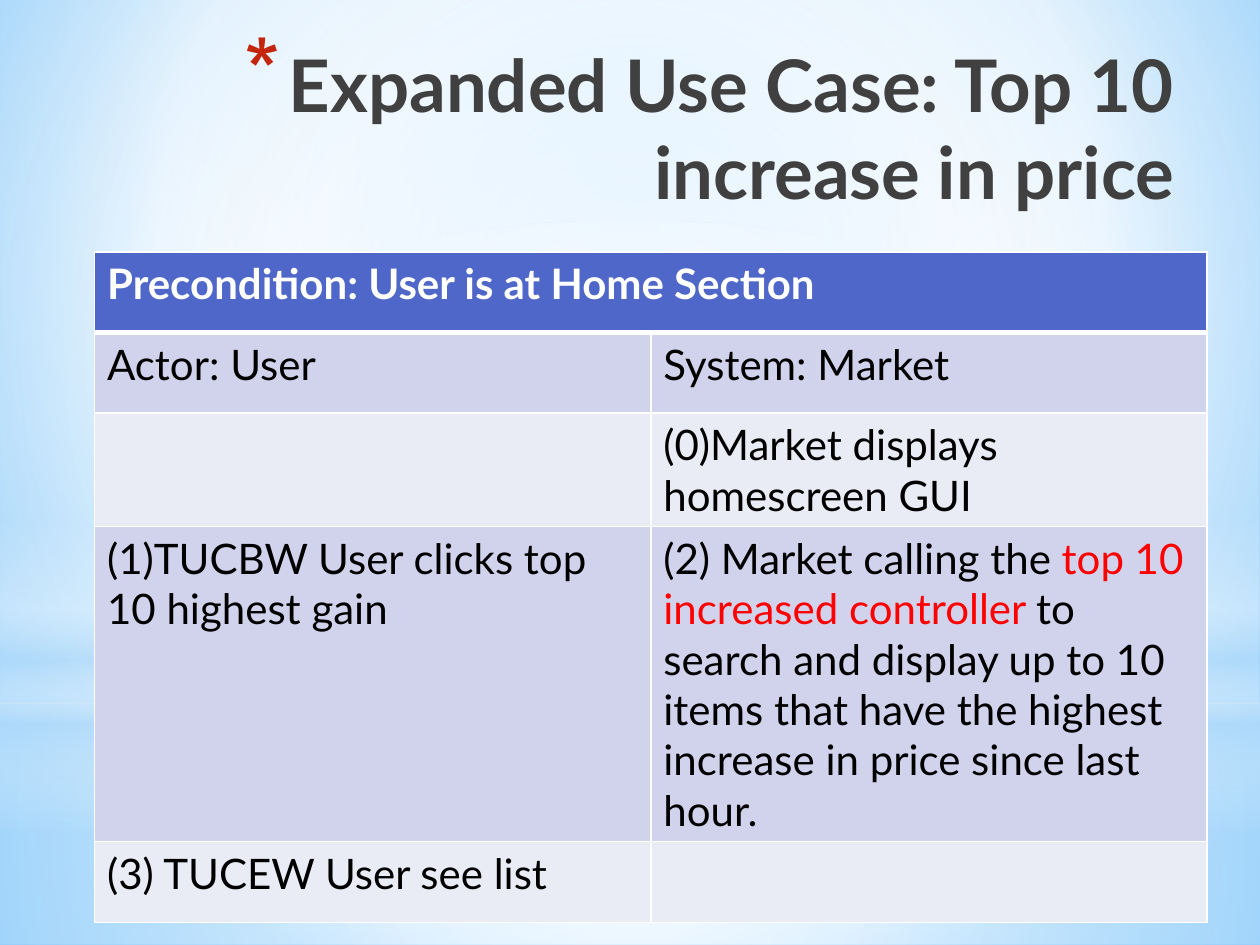
from lxml import etree
from pptx import Presentation
from pptx.dml.color import RGBColor
from pptx.enum import shapes, text
from pptx.oxml import ns
from pptx.util import Inches, Pt

COLORS = {
    "white": "FFFFFF", "sky": "B4DCFA", "bg_start": "9ED5FF", "bg_end": "5BB9FF",
    "title": "404040", "bullet": "C3260C", "header": "4E67C8",
    "band_dark": "D0D3EB", "band_light": "E9EBF5", "text": "000000", "accent": "FF0000",
}
FONT = "Lato"
CENTER = (50, 50, 50, 50)


def rgb(name):
    return RGBColor.from_string(COLORS[name])


def sub(parent, tag, **attrs):
    el = etree.SubElement(parent, ns.qn(tag))
    for key, value in attrs.items():
        el.set(key, str(value))
    return el


def set_gradient(props, stops, focus=None):
    """Replace the solid fill in props; a focus makes the gradient circular.

    Stops are (position %, colour name, opacity %).
    """
    solid = props.find(ns.qn("a:solidFill"))
    grad = etree.Element(ns.qn("a:gradFill"), rotWithShape="1")
    gs_list = sub(grad, "a:gsLst")
    for pos, color, opacity in stops:
        gs = sub(gs_list, "a:gs", pos=pos * 1000)
        clr = sub(gs, "a:srgbClr", val=COLORS[color])
        if opacity < 100:
            sub(clr, "a:alpha", val=opacity * 1000)
    if focus:
        path = sub(grad, "a:path", path="circle")
        sub(path, "a:fillToRect", **{k: v * 1000 for k, v in zip("ltrb", focus)})
    else:
        sub(grad, "a:lin", ang=90 * 60000, scaled=0)
    props.replace(solid, grad)


def add_backdrop(s, width):
    s.background.fill.solid()
    bg = s._element.find(".//" + ns.qn("p:bgPr"))
    set_gradient(bg, [(0, "bg_start", 100), (60, "white", 100), (100, "bg_end", 100)],
                 (20, 10, 20, 60))
    rect, oval = shapes.MSO_SHAPE.RECTANGLE, shapes.MSO_SHAPE.OVAL
    layers = [
        (rect, 5.58, 1.92, CENTER,
         [(0, "white", 91), (37, "white", 76), (100, "sky", 79)]),
        (rect, 0, 5.58, CENTER,
         [(0, "white", 89), (48, "white", 62), (100, "sky", 79)]),
        (rect, 4.12, 2.5, None,
         [(0, "white", 0), (29, "white", 30), (45, "sky", 40),
          (55, "white", 26), (65, "sky", 60), (100, "white", 0)]),
        (oval, 1.75, 5.58, CENTER, [(0, "white", 100), (56, "white", 0)]),
    ]
    for kind, top, height, focus, stops in layers:
        sp = s.shapes.add_shape(kind, 0, Inches(top), width, Inches(height))
        sp.shadow.inherit = False
        sp.line.fill.background()
        sp.fill.solid()
        set_gradient(sp._element.spPr, stops, focus)


def add_run(p, words, size, color, bold=False):
    r = p.add_run()
    r.text = words
    r.font.name, r.font.size, r.font.bold = FONT, Pt(size), bold
    r.font.color.rgb = rgb(color)


def add_title(s, left, top, width, height):
    sp = s.shapes.title
    s.shapes._spTree.append(sp._element)  # in front of the backdrop
    sp.left, sp.top, sp.width, sp.height = left, top, width, height
    tf = sp.text_frame
    tf.word_wrap = True
    tf.auto_size = text.MSO_AUTO_SIZE.NONE
    tf.vertical_anchor = text.MSO_ANCHOR.TOP
    p = tf.paragraphs[0]
    p.alignment = text.PP_ALIGN.RIGHT
    pPr = p._p.get_or_add_pPr()
    pPr.set("marL", str(Inches(0.35)))
    pPr.set("indent", str(-Inches(0.35)))
    sub(sub(pPr, "a:buClr"), "a:srgbClr", val=COLORS["bullet"])
    sub(pPr, "a:buSzPct", val=128000)
    sub(pPr, "a:buChar", char="*")
    add_run(p, "Expanded Use Case: Top 10 increase in price", 41.4, "title", True)


def style_cell(cell, fill, top=1, bottom=1):
    tcPr = cell._tc.get_or_add_tcPr()
    for tag, points in (("L", 1), ("R", 1), ("T", top), ("B", bottom)):
        ln = sub(tcPr, "a:ln" + tag, w=Pt(points))
        sub(sub(ln, "a:solidFill"), "a:srgbClr", val=COLORS["white"])
    cell.fill.solid()
    cell.fill.fore_color.rgb = rgb(fill)


def add_use_case_table(s, left, top, width):
    row_heights = [0.64, 0.64, 0.89, 2.5, 0.64]
    rows = [
        [["Precondition: User is at Home Section"], []],
        [["Actor: User"], ["System: Market"]],
        [[], ["(0)Market displays homescreen GUI"]],
        [["(1)TUCBW User clicks top 10 highest gain"],
         ["(2) Market calling the ", "top 10 increased controller ",
          "to search and display up to 10 items that have the highest "
          "increase in price since last hour."]],
        [["(3) TUCEW User see list"], []],
    ]
    table = s.shapes.add_table(len(rows), 2, left, top, width,
                               Inches(sum(row_heights))).table
    for i, (row, height) in enumerate(zip(rows, row_heights)):
        table.rows[i].height = Inches(height)
        header = i == 0
        fill = "header" if header else "band_dark" if i % 2 else "band_light"
        for j, runs in enumerate(row):
            cell = table.cell(i, j)
            style_cell(cell, fill, 3 if i == 1 else 1, 3 if header else 1)
            for k, words in enumerate(runs):
                color = "white" if header else "accent" if k == 1 else "text"
                add_run(cell.text_frame.paragraphs[0], words, 24, color, header)
    table.cell(0, 0).merge(table.cell(0, 1))


def main():
    prs = Presentation()
    prs.slide_width, prs.slide_height = Inches(10), Inches(7.5)
    s = prs.slides.add_slide(prs.slide_layouts[5])
    add_backdrop(s, prs.slide_width)
    add_title(s, Inches(0.42), Inches(0.27), Inches(9), Inches(1.25))
    add_use_case_table(s, Inches(0.75), Inches(2), Inches(8.83))
    prs.save("out.pptx")


if __name__ == "__main__":
    main()
